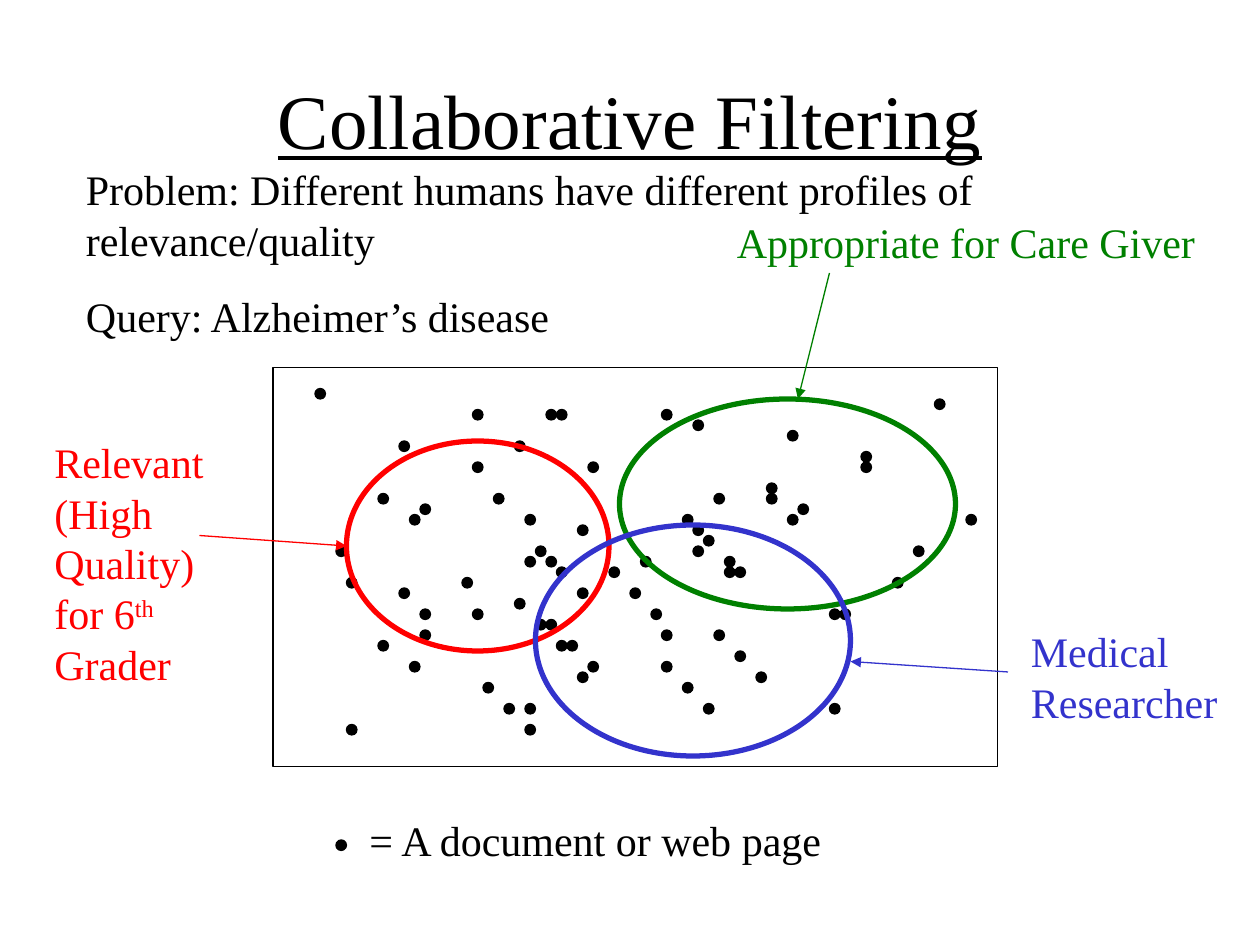
from lxml import etree
from pptx import Presentation
from pptx.dml.color import RGBColor
from pptx.enum.shapes import MSO_CONNECTOR, MSO_SHAPE
from pptx.enum.text import MSO_ANCHOR, PP_ALIGN
from pptx.oxml.ns import qn
from pptx.util import Emu, Pt

PX = 9525
GRID = 8
FONT = "Times New Roman"
BLACK, RED, GREEN, BLUE = "000000", "FF0000", "008000", "3333CC"
OVAL, RECTANGLE = MSO_SHAPE.OVAL, MSO_SHAPE.RECTANGLE
STRAIGHT = MSO_CONNECTOR.STRAIGHT
CENTER, MIDDLE = PP_ALIGN.CENTER, MSO_ANCHOR.MIDDLE

TITLE = "Collaborative Filtering"
TITLE_AREA = (72, 64, 816, 120)
TITLE_BOTTOM_INSET = 72
COLLECTION = (208, 280, 552, 304)

DOCUMENT_COLUMNS_BY_ROW = {
    37: [30], 38: [89], 39: [45, 52, 53, 63], 40: [66], 41: [75],
    42: [38, 49], 43: [82], 44: [45, 56, 82], 46: [73],
    47: [36, 47, 68, 73], 48: [40, 76], 49: [39, 50, 65, 75, 92],
    50: [55, 66], 51: [67], 52: [32, 51, 66, 87], 53: [50, 52, 61, 69],
    54: [53, 58, 69, 70], 55: [33, 44, 85], 56: [38, 55, 60], 57: [49],
    58: [40, 45, 62, 79, 80], 59: [51, 52], 60: [40, 63, 68],
    61: [36, 53, 54], 62: [70], 63: [39, 56, 63], 64: [55, 72],
    65: [46, 65], 67: [48, 50, 67, 79], 69: [33, 50], 80: [32],
}

PROFILES = [
    (RED, (264, 336, 200, 160)),
    (GREEN, (472, 304, 256, 160)),
    (BLUE, (408, 400, 240, 176)),
]

ARROWS = [
    (RED, (152, 408, 264, 416)),
    (GREEN, (632, 208, 608, 304)),
    (BLUE, (768, 512, 648, 504)),
]

TEXTS = [
    (BLACK, (56, 120, 880, 145), [
        [("Problem: Different humans have different profiles of relevance/quality", False)],
        [("Query: Alzheimer’s disease", False)],
    ]),
    (BLACK, (272, 616, 456, 48), [[("= A document or web page", False)]]),
    (RED, (32, 328, 136, 202), [
        [("Relevant (High Quality) for 6", False), ("th", True), (" Grader", False)],
    ]),
    (GREEN, (552, 160, 384, 48), [[("Appropriate for Care Giver", False)]]),
    (BLUE, (776, 472, 168, 86), [[("Medical Researcher", False)]]),
]


def scaled(lengths):
    """Turn px lengths into EMU."""
    return [Emu(length * PX) for length in lengths]


def color(value):
    """Return the colour of a hex string."""
    return RGBColor.from_string(value)


def add_outline(page, kind, area, line, width, fill=None):
    """Add a preset shape, hollow unless a fill is given."""
    shape = page.shapes.add_shape(kind, *scaled(area))
    shape.shadow.inherit = False
    if fill:
        shape.fill.solid()
        shape.fill.fore_color.rgb = color(fill)
    else:
        shape.fill.background()
    shape.line.color.rgb = color(line)
    shape.line.width = Pt(width)


def add_arrow(page, line, ends):
    """Add a thin line with a triangle at its end."""
    arrow = page.shapes.add_connector(STRAIGHT, *scaled(ends))
    arrow.line.color.rgb = color(line)
    arrow.line.width = Pt(0.75)
    properties = arrow.line._get_or_add_ln()
    etree.SubElement(properties, qn("a:tailEnd"), type="triangle")
    etree.SubElement(arrow._element.spPr, qn("a:effectLst"))


def add_box(page, area):
    """Add a wrapping text box and return its frame."""
    frame = page.shapes.add_textbox(*scaled(area)).text_frame
    frame.word_wrap = True
    return frame


def add_span(para, text, size, ink):
    """Add a run and return its font."""
    span = para.add_run()
    span.text = text
    span.font.name = FONT
    span.font.size = Pt(size)
    span.font.color.rgb = color(ink)
    return span.font


def add_title(page):
    """Add the underlined heading."""
    frame = add_box(page, TITLE_AREA)
    frame.vertical_anchor = MIDDLE
    frame.margin_bottom = Emu(TITLE_BOTTOM_INSET * PX)
    para = frame.paragraphs[0]
    para.alignment = CENTER
    add_span(para, TITLE, 44, BLACK).underline = True


def add_text(page, ink, area, paragraphs):
    """Add a box of body paragraphs."""
    frame = add_box(page, area)
    for index, spans in enumerate(paragraphs):
        para = frame.add_paragraph() if index else frame.paragraphs[0]
        para.space_before = Pt(15)
        for text, raised in spans:
            font = add_span(para, text, 24, ink)
            if raised:
                font._element.set("baseline", "30000")


def main():
    """Build the slide and save it."""
    deck = Presentation()
    deck.slide_width, deck.slide_height = scaled((960, 720))
    page = deck.slides.add_slide(deck.slide_layouts[6])
    add_title(page)
    add_outline(page, RECTANGLE, COLLECTION, BLACK, 0.75)
    for row, columns in DOCUMENT_COLUMNS_BY_ROW.items():
        for column in columns:
            dot = (column * GRID, row * GRID, GRID, GRID)
            add_outline(page, OVAL, dot, BLACK, 0.75, BLACK)
    for ink, area in PROFILES:
        add_outline(page, OVAL, area, ink, 3)
    for ink, area, paragraphs in TEXTS:
        add_text(page, ink, area, paragraphs)
    for ink, ends in ARROWS:
        add_arrow(page, ink, ends)
    deck.save("out.pptx")


if __name__ == "__main__":
    main()
